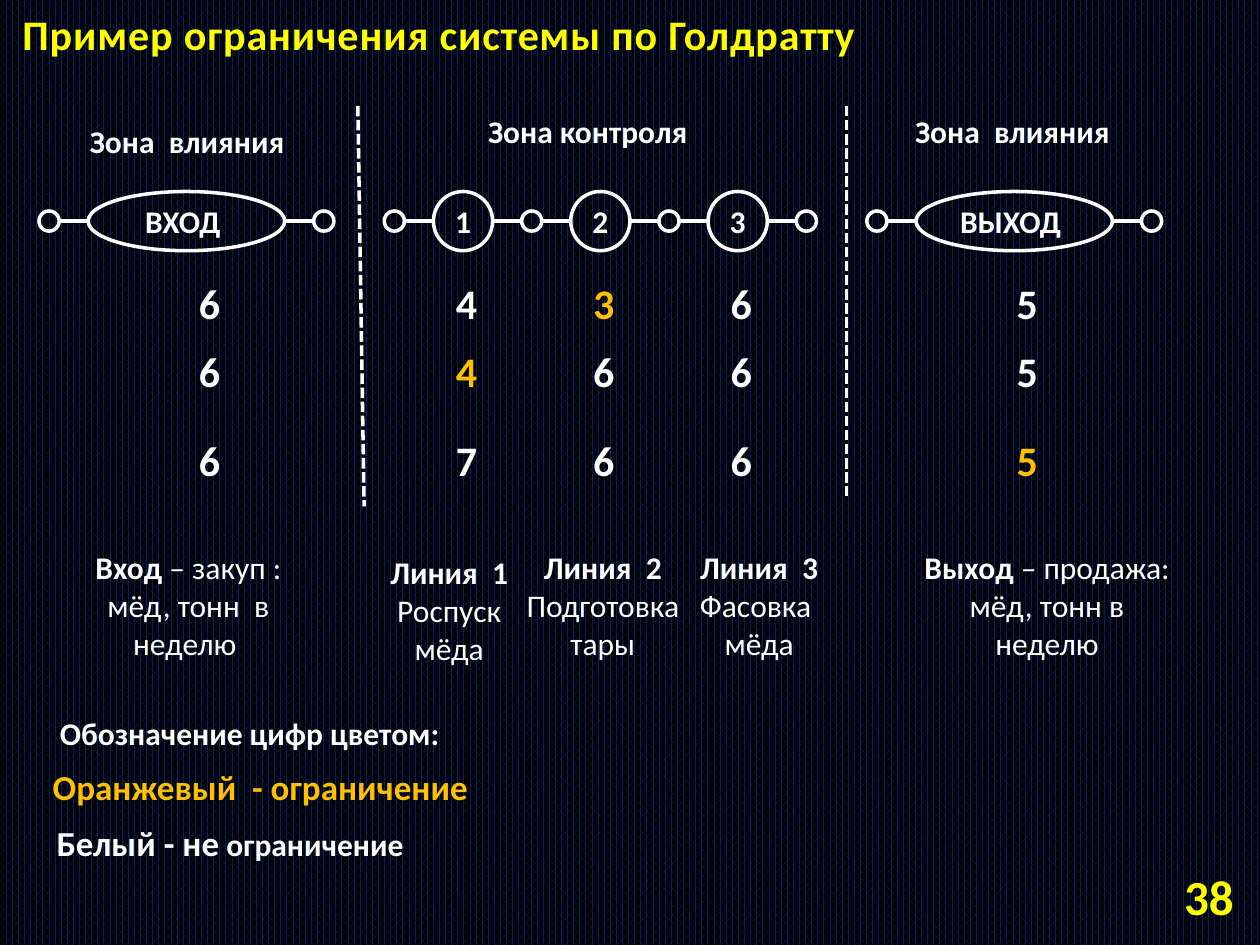
from lxml import etree
from pptx import Presentation
from pptx.dml.color import RGBColor
from pptx.enum import dml, shapes, text
from pptx.oxml.ns import qn
from pptx.util import Inches, Pt

WHITE, ORANGE, YELLOW = "FFFFFF", "FFC000", "FFFF00"
LEFT, CENTER, RIGHT = text.PP_ALIGN.LEFT, text.PP_ALIGN.CENTER, text.PP_ALIGN.RIGHT
TOP, MIDDLE, BOTTOM = (text.MSO_ANCHOR.TOP, text.MSO_ANCHOR.MIDDLE,
                       text.MSO_ANCHOR.BOTTOM)

TITLE = "Пример ограничения системы по Голдратту"
PAGE = "38"

# Chains of stages: left of the first stage, stage width, labels
CHAINS = [
    (3.44, 0.47, ["1", "2", "3"]),
    (7.27, 1.56, ["ВЫХОД "]),
    (0.70, 1.56, ["ВХОД "]),
]
AXIS_Y, STAGE_H, RING, LINK = 1.755, 0.47, 0.16, 0.23

DIVIDERS = [((6.72, 0.84), (6.72, 3.94)), ((2.84, 0.84), (2.89, 4.02))]

# Throughput per scenario; the constraint column is highlighted
COLUMNS_X = [1.48, 3.52, 4.61, 5.70, 7.97]
SCENARIOS = [  # top, values, constraint column
    (2.15, "64365", 2),
    (2.69, "64665", 1),
    (3.40, "67665", 4),
]

ZONES = [  # left, top, name
    (3.66, 0.84, "Зона контроля"),
    (7.03, 0.84, "Зона  влияния"),
    (0.48, 0.92, "Зона  влияния"),
]

CAPTIONS = [  # left, top, width, bold part, plain part
    (0.49, 4.30, 2.01, "Вход", " – закуп : мёд, тонн  в неделю "),
    (2.84, 4.34, 1.45, "Линия  1", " Роспуск мёда"),
    (4.06, 4.30, 1.45, "Линия  2", " Подготовка тары"),
    (5.24, 4.30, 1.57, "Линия  3 ", "Фасовка  мёда"),
    (7.21, 4.30, 2.20, "Выход ", "– продажа: мёд, тонн в неделю"),
]

LEGEND = [  # box, alignment, colour, runs with sizes
    ((0.32, 5.62, 3.38, 0.40), CENTER, WHITE, [("Обозначение цифр цветом: ", 18)]),
    ((0.32, 6.03, 3.79, 0.44), LEFT, ORANGE, [("Оранжевый  - ограничение", 20)]),
    ((0.35, 6.47, 3.78, 0.44), LEFT, WHITE, [("Белый - не", 20), (" ограничение", 18)]),
]


def rgb(color):
    return RGBColor.from_string(color)


def add_run(p, words, size=18, color=WHITE, bold=True):
    r = p.add_run()
    r.text = words
    r.font.name = "Calibri"
    r.font.size = Pt(size)
    r.font.bold = bold
    r.font.color.rgb = rgb(color)
    return r


def add_text(box, align=LEFT, anchor=TOP):
    """Add an empty wrapping text box and return its paragraph."""
    tf = slide.shapes.add_textbox(*map(Inches, box)).text_frame
    tf.word_wrap = True
    tf.vertical_anchor = anchor
    p = tf.paragraphs[0]
    p.alignment = align
    return p


def add_line(parent, start, end, dash=None):
    ln = parent.add_connector(shapes.MSO_CONNECTOR.STRAIGHT,
                              *map(Inches, start + end))
    ln.line.color.rgb = rgb(WHITE)
    ln.line.width = Pt(2)
    if dash:
        ln.line.dash_style = dash
    etree.SubElement(ln._element.spPr, qn("a:effectLst"))


def add_ellipse(parent, x, w, h, label=None):
    """Add an outlined ellipse centred on the chain axis."""
    sp = parent.add_shape(shapes.MSO_SHAPE.OVAL, Inches(x),
                          Inches(AXIS_Y - h / 2), Inches(w), Inches(h))
    sp.shadow.inherit = False
    sp.fill.background()
    sp.line.color.rgb = rgb(WHITE)
    sp.line.width = Pt(2)
    if label:
        tf = sp.text_frame
        tf.word_wrap = False
        tf.margin_left = tf.margin_right = 0
        tf.vertical_anchor = MIDDLE
        tf.paragraphs[0].alignment = CENTER
        add_run(tf.paragraphs[0], label)


def add_chain(x, width, labels):
    """Draw ring - stage - ring - stage ... - ring from left to right."""
    group = slide.shapes.add_group_shape().shapes
    add_ellipse(group, x - LINK - RING, RING, RING)
    for label in labels:
        right = x + width
        add_line(group, (x - LINK, AXIS_Y), (x, AXIS_Y))
        add_ellipse(group, x, width, STAGE_H, label)
        add_line(group, (right, AXIS_Y), (right + LINK, AXIS_Y))
        add_ellipse(group, right + LINK, RING, RING)
        x = right + 2 * LINK + RING


prs = Presentation()
prs.slide_width, prs.slide_height = Inches(10), Inches(7.5)
slide = prs.slides.add_slide(prs.slide_layouts[6])
fill = slide.background.fill
fill.patterned()
fill.pattern = dml.MSO_PATTERN.PERCENT_70
fill.fore_color.rgb = rgb("002060")
fill.back_color.rgb = rgb("000000")

title = add_run(add_text((0.08, 0.12, 8, 0.4), anchor=BOTTOM), TITLE, 24, YELLOW)
title.font._element.set("spc", "50")

for chain in CHAINS:
    add_chain(*chain)
for start, end in DIVIDERS:
    add_line(slide.shapes, start, end, dml.MSO_LINE.SQUARE_DOT)

for top, values, constraint in SCENARIOS:
    for i, (x, value) in enumerate(zip(COLUMNS_X, values)):
        add_run(add_text((x, top, 0.31, 0.5)), value, 24,
                ORANGE if i == constraint else WHITE)

for x, top, name in ZONES:
    add_run(add_text((x, top, 2.01, 0.4), CENTER), name)

for x, top, width, head, body in CAPTIONS:
    p = add_text((x, top, width, 1.01), CENTER)
    add_run(p, head)
    add_run(p, body, bold=False)

for box, align, color, runs in LEGEND:
    p = add_text(box, align)
    for words, size in runs:
        add_run(p, words, size, color)

add_run(add_text((8.95, 6.91, 0.94, 0.4), RIGHT, MIDDLE), PAGE, 28, YELLOW)

prs.save("out.pptx")
